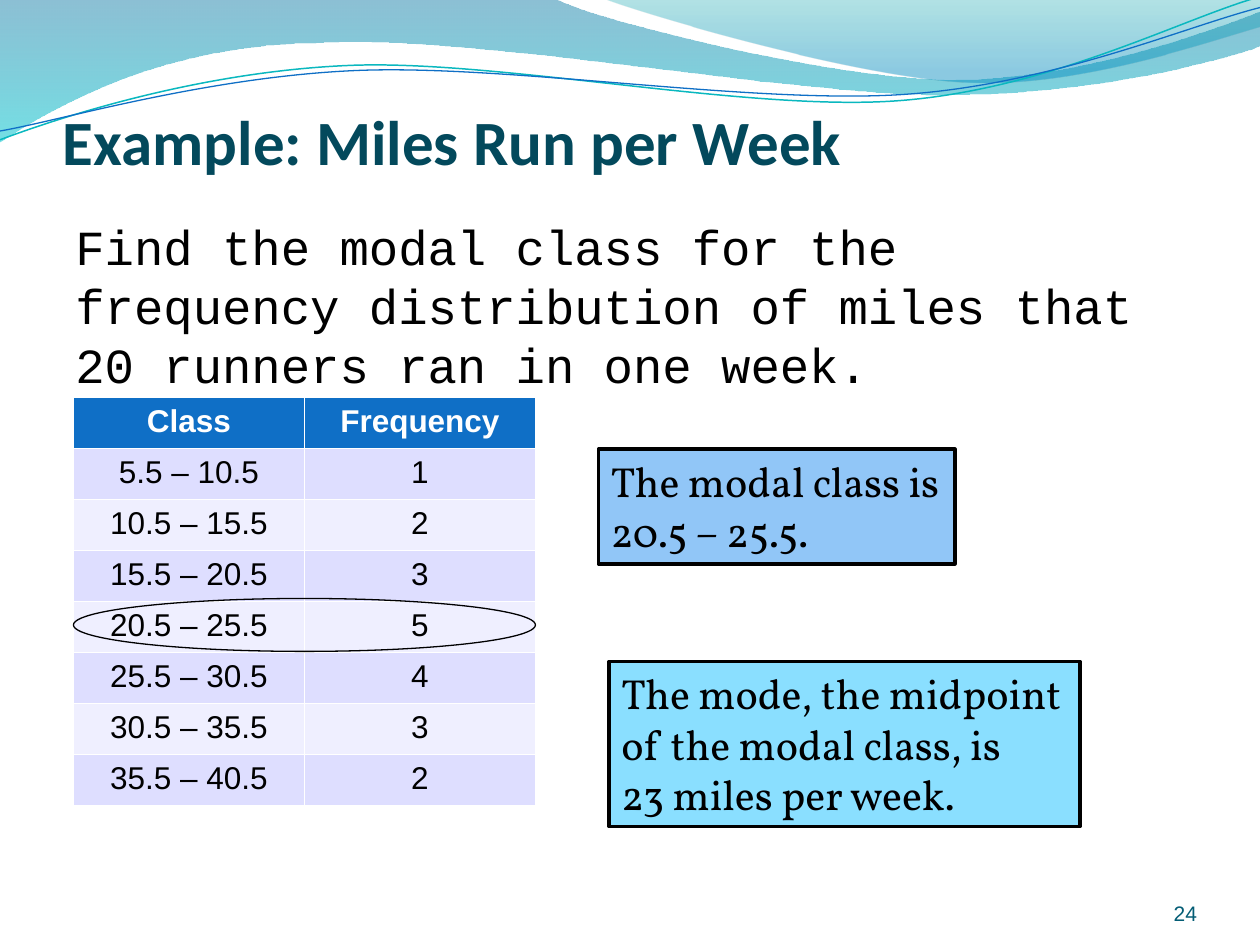
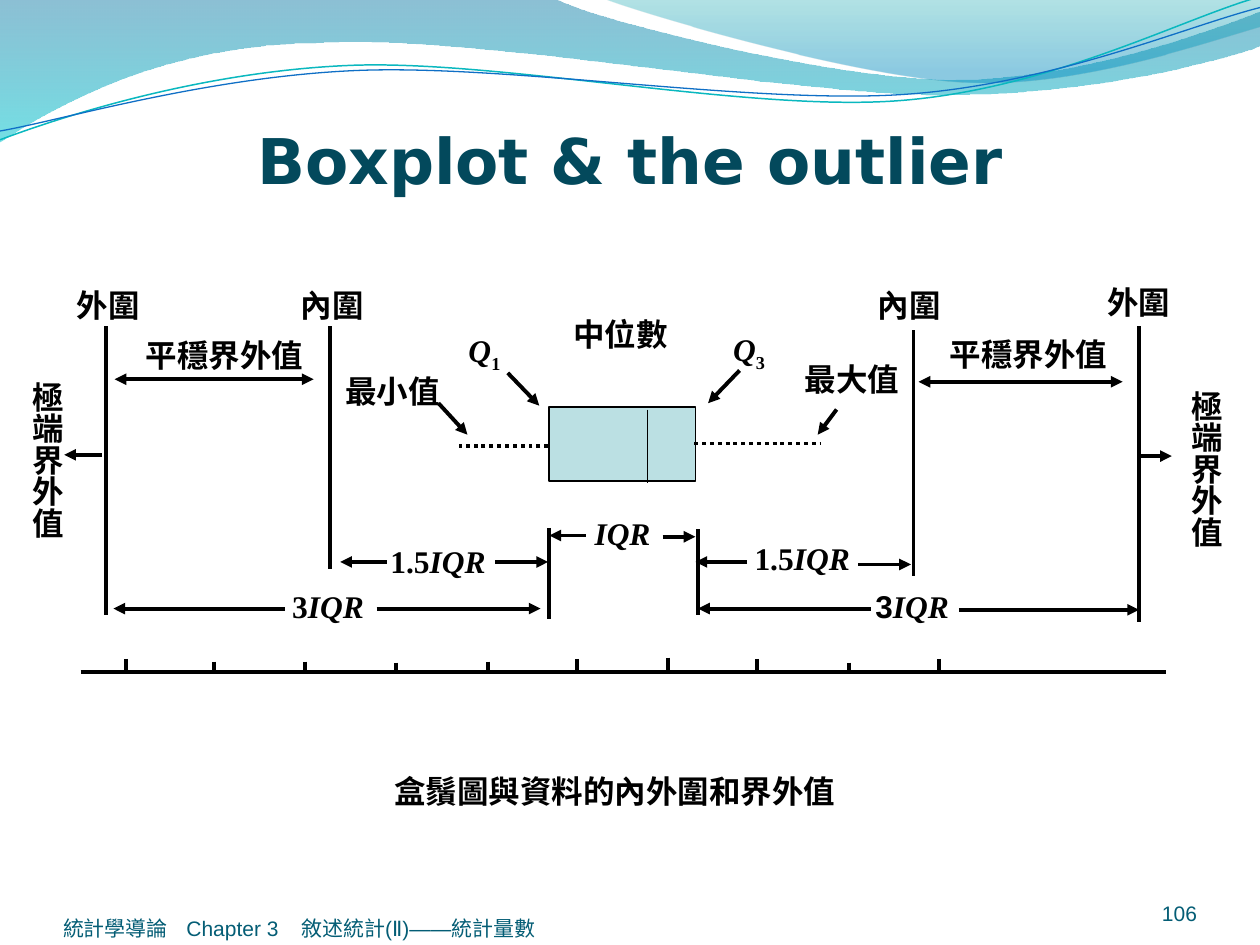
from dataclasses import dataclass
from itertools import cycle

from lxml import etree
from pptx import Presentation
from pptx.dml.color import RGBColor
from pptx.enum.dml import MSO_LINE
from pptx.enum.shapes import MSO_CONNECTOR, MSO_SHAPE
from pptx.enum.text import MSO_ANCHOR, MSO_AUTO_SIZE, PP_ALIGN
from pptx.oxml.ns import qn
from pptx.util import Inches, Pt

LEFT, CENTER, RIGHT = PP_ALIGN.LEFT, PP_ALIGN.CENTER, PP_ALIGN.RIGHT
TOP, BOTTOM = MSO_ANCHOR.TOP, MSO_ANCHOR.BOTTOM
GROW = MSO_AUTO_SIZE.SHAPE_TO_FIT_TEXT
STRAIGHT = MSO_CONNECTOR.STRAIGHT
RECT, OVAL = MSO_SHAPE.RECTANGLE, MSO_SHAPE.OVAL
DOTTED = MSO_LINE.ROUND_DOT


@dataclass(frozen=True)
class Theme:
    black: str = "000000"
    white: str = "FFFFFF"
    title: str = "03495C"
    footer: str = "045D75"
    blue: str = "0F6FC6"
    teal: str = "0AB8BF"
    band_dark: str = "DEDEFF"
    band_light: str = "EFEFFF"
    callout_blue: str = "91C6F7"
    callout_cyan: str = "8ADFFF"
    box: str = "BBE0E3"
    sans: str = "Arial"
    serif: str = "Times New Roman"
    title_size: float = 36
    body_size: float = 28
    callout_size: float = 24
    label_size: float = 18
    footer_size: float = 12
    thin: float = 1
    medium: float = 2
    thick: float = 2.25


th = Theme()
prs = Presentation()
prs.slide_width, prs.slide_height = Inches(10), Inches(7.5)
COL, ROW = prs.slide_width / 100, prs.slide_height / 75


def grid(*values):
    return [round(v * unit) for v, unit in zip(values, cycle((COL, ROW)))]


def write(tf, text, size=th.label_size, font=th.sans, color=th.black, bold=False,
          align=LEFT, anchor=TOP, wrap=True, grow=False, inset=None, vert=None, tabs=()):
    paragraphs = [[(t, {})] for t in text.split("\n")] if isinstance(text, str) else [text]
    tf.word_wrap = wrap
    tf.vertical_anchor = anchor
    if grow:
        tf.auto_size = GROW
    if inset:
        tf.margin_left, tf.margin_top, tf.margin_right, tf.margin_bottom = map(Inches, inset)
    if vert:
        tf._txBody.bodyPr.set("vert", vert)
    for i, runs in enumerate(paragraphs):
        p = tf.add_paragraph() if i else tf.paragraphs[0]
        p.alignment = align
        if tabs:
            stops = etree.SubElement(p._p.get_or_add_pPr(), qn("a:tabLst"))
            for stop in tabs:
                etree.SubElement(stops, qn("a:tab"), pos=str(round(stop * COL)), algn="l")
        for content, own in runs:
            r = p.add_run()
            r.text = content
            r.font.size = Pt(size)
            r.font.name = own.get("font", font)
            r.font.bold = bold
            r.font.italic = own.get("italic", False)
            r.font.color.rgb = RGBColor.from_string(color)
            if own.get("sub"):
                r._r.get_or_add_rPr().set("baseline", "-25000")


waves = [
    ((0, -0.1), [
        [(44, -0.1)],
        [(47.6, 1.7), (66.4, 6.3), (75.8, 6.3)],
        [(85.3, 6.3), (95.8, 2.6), (100, 0.9)],
        [(100.1, 3.6)],
        [(98.3, 4.4), (87, 7.6), (74.6, 7.5)],
        [(62.2, 7.5), (38.2, 2.8), (25.7, 3.4)],
        [(12.9, 3.5), (4.6, 8.3), (-0.1, 11.3)],
    ], [(0, "0074A1", 45), (1, "00C6CF", 55)], None),
    ((47.9, -0.1), [
        [(50.9, 1.1), (68.2, 6.2), (76.9, 6.5)],
        [(85.6, 6.9), (96.1, 3.2), (100, 2.1)],
        [(100, 0)],
    ], [(0, "00A1A9", 30), (0.8, "008BBF", 45)], None),
    ((0, 11.1), [
        [(4.8, 9.3), (15.8, 5.7), (27.7, 5.2)],
        [(39.5, 4.7), (59.3, 8.9), (71.3, 8)],
        [(83.3, 7.1), (93.8, 1.5), (99.8, -0.2)],
    ], None, (th.teal, 0.85)),
    ((0, 10.4), [
        [(4.7, 9.6), (16.4, 6.1), (28.3, 5.6)],
        [(40.3, 5.1), (59.7, 8.3), (71.7, 7.5)],
        [(83.6, 6.7), (94.1, 2.1), (100, 0.6)],
    ], None, (th.blue, 0.75)),
]
pages = [
    ("Example: Miles Run per Week", "Calibri", LEFT, 7.5, "24"),
    ("Boxplot & the outlier", "DejaVu Sans", CENTER, 9, "106"),
]

for title, font, align, height, number in pages:
    s = prs.slides.add_slide(prs.slide_layouts[6])
    for start, segments, stops, stroke in waves:
        outline = s.shapes.build_freeform(*grid(*start))
        outline.add_line_segments([grid(*pt) for segment in segments for pt in segment],
                                  close=bool(stops))
        sp = outline.convert_to_shape()
        sp.shadow.inherit = False
        steps = iter(list(sp._element.spPr.iter(qn("a:lnTo"))))
        for segment in segments:
            curve = next(steps)
            if len(segment) == 3:
                curve.tag = qn("a:cubicBezTo")
                for step in (next(steps), next(steps)):
                    curve.append(step[0])
                    step.getparent().remove(step)
        if stops:
            sp.line.fill.background()
            sp.fill.gradient()
            sp.fill.gradient_angle = 270
            for stop, (position, color, _) in zip(sp.fill.gradient_stops, stops):
                stop.position = position
                stop.color.rgb = RGBColor.from_string(color)
            for node, (_, _, alpha) in zip(sp._element.spPr.iter(qn("a:srgbClr")), stops):
                etree.SubElement(node, qn("a:alpha"), val=str(alpha * 1000))
        else:
            sp.fill.background()
            sp.line.color.rgb = RGBColor.from_string(stroke[0])
            sp.line.width = Pt(stroke[1])
    write(s.shapes.add_textbox(*grid(5, 6.62, 90, height)).text_frame, title, size=th.title_size,
          font=font, color=th.title, bold=True, align=align, anchor=BOTTOM, inset=(0, 0.05, 0, 0))
    write(s.shapes.add_textbox(*grid(86.7, 69.5, 8.3, 4)).text_frame, number, size=th.footer_size,
          color=th.footer, align=RIGHT, anchor=BOTTOM, inset=(0, 0, 0, 0))

miles, boxplot = prs.slides

write(miles.shapes.add_textbox(*grid(5, 16.7, 89.2, 10.8)).text_frame,
      "Find the modal class for the frequency distribution of miles that 20 runners ran in one week.",
      size=th.body_size, font="Courier New")

frequencies = [1, 2, 3, 5, 4, 3, 2]
rows = [("Class", "Frequency")]
rows += [(f"{5.5 + 5 * i} – {10.5 + 5 * i}", str(n)) for i, n in enumerate(frequencies)]
table = miles.shapes.add_table(len(rows), 2, *grid(5.83, 31.55, 36.67, 32.4)).table
for i, values in enumerate(rows):
    table.rows[i].height = round(4.05 * ROW)
    fill = th.blue if i == 0 else th.band_dark if i % 2 else th.band_light
    for j, value in enumerate(values):
        cell = table.cell(i, j)
        cell.fill.solid()
        cell.fill.fore_color.rgb = RGBColor.from_string(fill)
        write(cell.text_frame, value, bold=i == 0, align=CENTER,
              color=th.black if i else th.white)

panels = [
    (miles, RECT, (47.5, 35.65, 28.3, 9.1), th.callout_blue, th.medium,
     "The modal class is\n20.5 – 25.5."),
    (miles, OVAL, (5.83, 47.5, 36.67, 4.2), None, 0.75, ""),
    (miles, RECT, (48.33, 52.5, 37.4, 13.1), th.callout_cyan, th.medium,
     "The mode, the midpoint\nof the modal class, is\n23 miles per week."),
    (boxplot, RECT, (43.6, 32.3, 11.6, 5.9), th.box, th.thin, ""),
]
for s, kind, place, fill, width, text in panels:
    sp = s.shapes.add_shape(kind, *grid(*place))
    sp.shadow.inherit = False
    sp.line.color.rgb = RGBColor.from_string(th.black)
    sp.line.width = Pt(width)
    if fill:
        sp.fill.solid()
        sp.fill.fore_color.rgb = RGBColor.from_string(fill)
    else:
        sp.fill.background()
    if text:
        write(sp.text_frame, text, size=th.callout_size, font="Vollkorn", wrap=False, grow=True)

fences = [(8.4, 25.9, 48.8), (26.2, 25.9, 45.2), (43.6, 41.9, 49.1),
          (55.4, 42, 48.8), (72.5, 26.2, 45.7), (90.4, 25.9, 49.4)]
ticks = [(10, 52.3), (17, 52.5), (24.2, 52.5), (31.4, 52.6), (38.7, 52.5),
         (45.8, 52.3), (53, 52.2), (60.1, 52.3), (67.4, 52.6), (74.5, 52.3)]
arrows = [
    (8.1, 36.1, 5.1, 36.1), (90.3, 36.2, 93, 36.2),
    (22.6, 48.3, 9, 48.3), (29.9, 48.3, 42.9, 48.3),
    (69.1, 48.3, 55.4, 48.3), (76.1, 48.4, 90.4, 48.4),
    (30.7, 44.6, 27, 44.6), (39.3, 44.6, 43.5, 44.6),
    (59.3, 44.6, 55.2, 44.6), (68.1, 44.8, 72.3, 44.8),
    (46.5, 42.5, 43.6, 42.5), (52.6, 42.6, 55.2, 42.6),
    (34.8, 32, 37.1, 34.5), (66.4, 32.5, 64.9, 34.5),
    (40.3, 29.6, 42.8, 32.2), (58.7, 29.4, 56.2, 32),
]
spans = [(9.1, 30.1, 24.9, 30.1), (72.9, 30.3, 89.1, 30.3)]
whiskers = [(43.5, 35.4, 36.4, 35.4), (55.1, 35.2, 65.2, 35.2)]
axis = (6.4, 53.3, 92.5, 53.3)
median = (51.4, 32.5, 51.4, 38.3)
uprights = [(x, y1, x, y2) for x, y1, y2 in fences]
uprights += [(x, y, x, axis[1]) for x, y in ticks]
strokes = [
    (uprights + [axis], th.thick, None, ()),
    (arrows, th.thick, None, ("tailEnd",)),
    (spans, th.thick, None, ("headEnd", "tailEnd")),
    (whiskers, th.thick, DOTTED, ()),
    ([median], th.thin, None, ()),
]
for lines, width, dash, ends in strokes:
    for ends_at in lines:
        cn = boxplot.shapes.add_connector(STRAIGHT, *grid(*ends_at))
        cn.line.color.rgb = RGBColor.from_string(th.black)
        cn.line.width = Pt(width)
        if dash:
            cn.line.dash_style = dash
        for end in ends:
            etree.SubElement(cn.line._get_or_add_ln(), qn("a:" + end), type="triangle")
        etree.SubElement(cn._element.spPr, qn("a:effectLst"))

iqr = ("IQR", {"italic": True, "font": th.serif})
q = ("Q", {"italic": True})
labels = [
    ("外圍", 5.1, 22.2, 7, th.sans), ("外圍", 86.9, 22, 7, th.sans),
    ("內圍", 22.9, 22.2, 7, th.sans), ("內圍", 68.7, 22.2, 7, th.sans),
    ("平穩界外值", 10.6, 26.2, 14.5, th.sans), ("平穩界外值", 74.4, 26.1, 14.5, th.sans),
    ("最小值", 26.4, 29, 9.5, th.sans), ("最大值", 62.9, 28.1, 9.5, th.sans),
    ("中位數", 44.5, 24.5, 9.5, th.sans),
    ([q, ("1", {"sub": True})], 36.2, 25.8, 4.7, th.serif),
    ([q, ("3", {"sub": True})], 57.2, 25.7, 4.7, th.serif),
    ([("1.5", {}), iqr], 30, 42.5, 9.6, th.serif),
    ([("1.5", {}), iqr], 58.9, 42.3, 9.6, th.serif),
    ([iqr], 46.2, 40.3, 6.5, th.serif),
    ([("3", {}), iqr], 22.2, 46.1, 7.7, th.serif),
    ([("3", {}), iqr], 68.5, 46.1, 8, th.sans),
    ("盒鬚圖與資料的內外圍和界外值", 30.3, 60.8, 37.4, th.serif),
]
for text, x, y, width, font in labels:
    write(boxplot.shapes.add_textbox(*grid(x, y, width, 4)).text_frame, text,
          font=font, bold=True, wrap=False, grow=True)
for x, y in [(0.7, 29.3), (92.7, 30)]:
    write(boxplot.shapes.add_textbox(*grid(x, y, 5, 13.2)).text_frame, "極端界外值",
          bold=True, wrap=False, grow=True, vert="eaVert")
write(boxplot.shapes.add_textbox(*grid(5, 72.7, 39.2, 2.3)).text_frame,
      "統計學導論\tChapter 3\t敘述統計(Ⅱ)——統計量數", size=th.footer_size, color=th.footer,
      inset=(0, 0, 0, 0), tabs=(9.8, 18.9))

prs.save("out.pptx")
